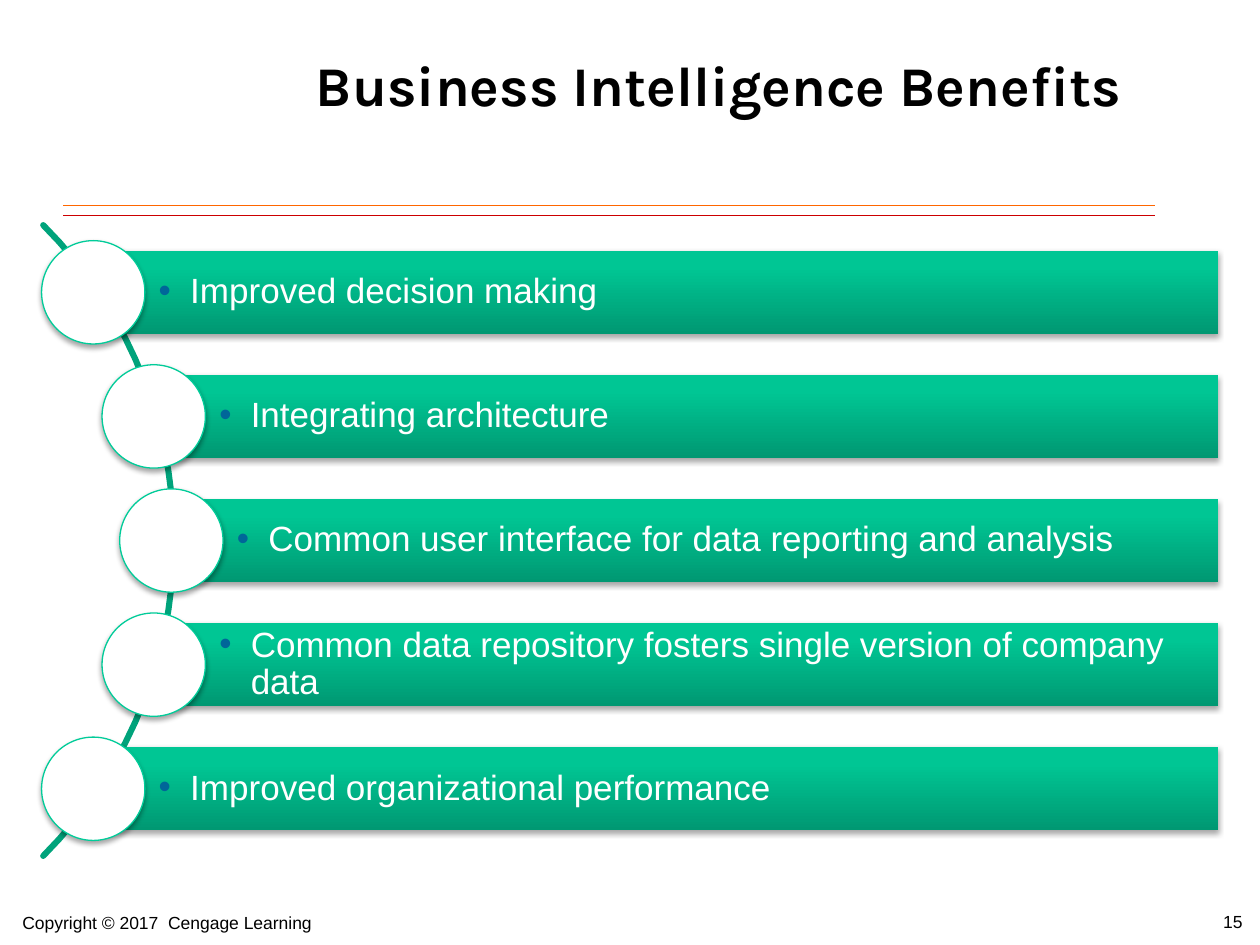
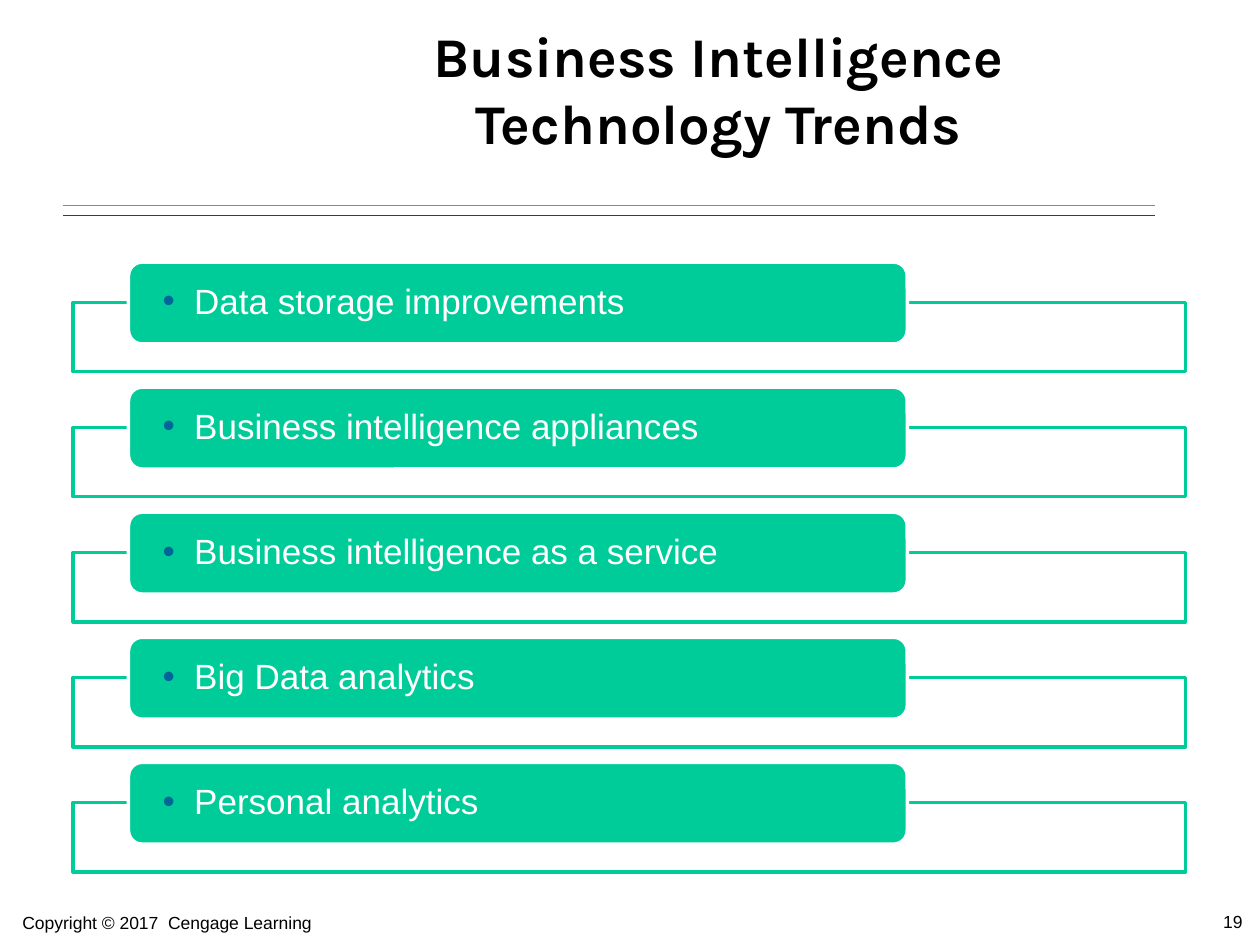
from math import cos, radians, sin

from lxml.etree import SubElement
from pptx import Presentation
from pptx.dml.color import RGBColor
from pptx.enum.shapes import MSO_CONNECTOR, MSO_SHAPE
from pptx.enum.text import MSO_ANCHOR, PP_ALIGN
from pptx.oxml import parse_xml
from pptx.oxml.ns import qn
from pptx.util import Inches, Pt

NS = 'xmlns:a="http://schemas.openxmlformats.org/drawingml/2006/main"'
GREEN, ARC, WHITE, BLACK = "00CC99", "00A37B", "FFFFFF", "000000"
BULLET, RED, ORANGE = "006699", "CC0000", "FF6600"
SHADE = [(0, "009872"), (80, "00C694"), (100, "00C795")]

BENEFITS = [
    "Improved decision making",
    "Integrating architecture",
    "Common user interface for data reporting and analysis",
    "Common data repository fosters single version of company data",
    "Improved organizational performance",
]
SHIFTS = [0, 0.48, 0.62, 0.48, 0]
TRENDS = [
    "Data storage improvements",
    "Business intelligence appliances",
    "Business intelligence as a service",
    "Big Data analytics",
    "Personal analytics",
]


def color(code):
    return RGBColor.from_string(code)


def add_run(par, text, size, code, font="Arial", bold=False):
    run = par.add_run()
    run.text = text
    run.font.name, run.font.size, run.font.bold = font, Pt(size), bold
    run.font.color.rgb = color(code)


def add_text(slide, box, text, size, wrap=True, **style):
    frame = slide.shapes.add_textbox(*map(Inches, box)).text_frame
    frame.word_wrap = wrap
    add_run(frame.paragraphs[0], text, size, BLACK, **style)
    return frame


def add_form(slide, kind, box, fill, line=None, width=2):
    form = slide.shapes.add_shape(kind, *map(Inches, box))
    form.shadow.inherit = False
    form.fill.solid()
    form.fill.fore_color.rgb = color(fill)
    if line:
        form.line.color.rgb = color(line)
        form.line.width = Pt(width)
    else:
        form.line.fill.background()
    return form


def add_shade(form):
    """Fill the shape with the green gradient, dark at the bottom."""
    form.fill.gradient()
    form.fill.gradient_angle = 90
    stops = form._element.spPr.find(qn("a:gradFill")).find(qn("a:gsLst"))
    for stop in list(stops):
        stops.remove(stop)
    for pos, code in SHADE:
        stop = SubElement(stops, qn("a:gs"), pos=str(pos * 1000))
        SubElement(stop, qn("a:srgbClr"), val=code)


def add_shadow(form):
    effects = form._element.spPr.find(qn("a:effectLst"))
    effects.append(parse_xml(
        f'<a:outerShdw {NS} blurRad="{Pt(3.1)}" dist="{Pt(1.8)}" dir="5400000" '
        f'rotWithShape="0"><a:srgbClr val="{BLACK}"><a:alpha val="35000"/>'
        '</a:srgbClr></a:outerShdw>'))


def add_bullet(form, text, left, side):
    frame = form.text_frame
    frame.word_wrap = True
    frame.vertical_anchor = MSO_ANCHOR.MIDDLE
    frame.margin_left, frame.margin_right = Inches(left), Inches(side)
    par = frame.paragraphs[0]
    par.alignment = PP_ALIGN.LEFT
    par.line_spacing = 0.9
    props = par._p.get_or_add_pPr()
    props.set("marL", str(Inches(0.25)))
    props.set("indent", str(-Inches(0.25)))
    tint = SubElement(props, qn("a:buClr"))
    SubElement(tint, qn("a:srgbClr"), val=BULLET)
    SubElement(props, qn("a:buFont"), typeface="Arial")
    SubElement(props, qn("a:buChar"), char="•")
    add_run(par, text, 20, WHITE)


def add_base(deck, title, top, number):
    """Add a slide with its title, rules and footer."""
    slide = deck.slides.add_slide(deck.slide_layouts[6])
    for y, code in ((1.71, RED), (1.63, ORANGE)):
        rule = slide.shapes.add_connector(
            MSO_CONNECTOR.STRAIGHT, *map(Inches, (0.5, y, 9.17, y)))
        rule.line.color.rgb = color(code)
        rule.line.width = Pt(0.75)
        SubElement(rule._element.spPr, qn("a:effectLst"))
    head = add_text(slide, (2.33, top, 6.75, 1.25), title, 32, font="Karla", bold=True)
    head.vertical_anchor = MSO_ANCHOR.MIDDLE
    head.paragraphs[0].alignment = PP_ALIGN.CENTER
    add_text(slide, (0.08, 7.19, 3.17, 0.25), "Copyright © 2017  Cengage Learning", 10)
    add_text(slide, (9.61, 7.18, 0.39, 0.25), str(number), 10, wrap=False)
    return slide


def add_arc(slide, x, y, radius):
    """Draw the right quarter of a circle centred on x, y."""
    spots = [(Inches(x + radius * cos(radians(a))), Inches(y + radius * sin(radians(a))))
             for a in range(-45, 46, 3)]
    build = slide.shapes.build_freeform(*spots[0])
    build.add_line_segments(spots[1:], close=False)
    arc = build.convert_to_shape()
    arc.shadow.inherit = False
    arc.fill.background()
    arc.line.color.rgb = color(ARC)
    arc.line.width = Pt(3.5)
    arc.line._get_or_add_ln().set("cap", "rnd")


def add_curve(slide, box, items):
    """Bars that start at discs strung along an arc."""
    left, top, width, height = box
    disc, bar = 0.82, 0.66
    step = (height - disc) / (len(items) - 1)
    add_arc(slide, left - 2.49, top + height / 2, 3.54)
    for i, (text, shift) in enumerate(zip(items, SHIFTS)):
        x, y = left + shift, top + i * step
        start = x + disc / 2
        band = add_form(slide, MSO_SHAPE.RECTANGLE,
                        (start, y + (disc - bar) / 2, left + width - start, bar), GREEN)
        add_shade(band)
        add_shadow(band)
        add_bullet(band, text, 0.52, 0.06)
        add_shadow(add_form(slide, MSO_SHAPE.OVAL, (x, y, disc, disc), WHITE, GREEN, 0.75))


def add_list(slide, box, items):
    """Outlined frames, each with a rounded label on its top edge."""
    left, top, width, height = box
    drop, frame = 0.32, 0.55
    step = (height - drop - frame) / (len(items) - 1)
    for i, text in enumerate(items):
        y = top + i * step
        add_form(slide, MSO_SHAPE.RECTANGLE, (left, y + drop, width, frame), WHITE, GREEN)
        label = add_form(slide, MSO_SHAPE.ROUNDED_RECTANGLE,
                         (left + 0.44, y, width * 0.7, 0.65), GREEN, WHITE)
        add_bullet(label, text, 0.24, 0.24)


def main():
    deck = Presentation()
    deck.slide_width, deck.slide_height = Inches(10), Inches(7.5)
    slide = add_base(deck, "Business Intelligence Benefits", 0.04, 15)
    add_curve(slide, (0.33, 1.91, 9.34, 4.76), BENEFITS)
    slide = add_base(deck, "Business Intelligence Technology Trends", 0.08, 19)
    add_list(slide, (0.58, 2.08, 8.83, 4.84), TRENDS)
    deck.save("out.pptx")


if __name__ == "__main__":
    main()
